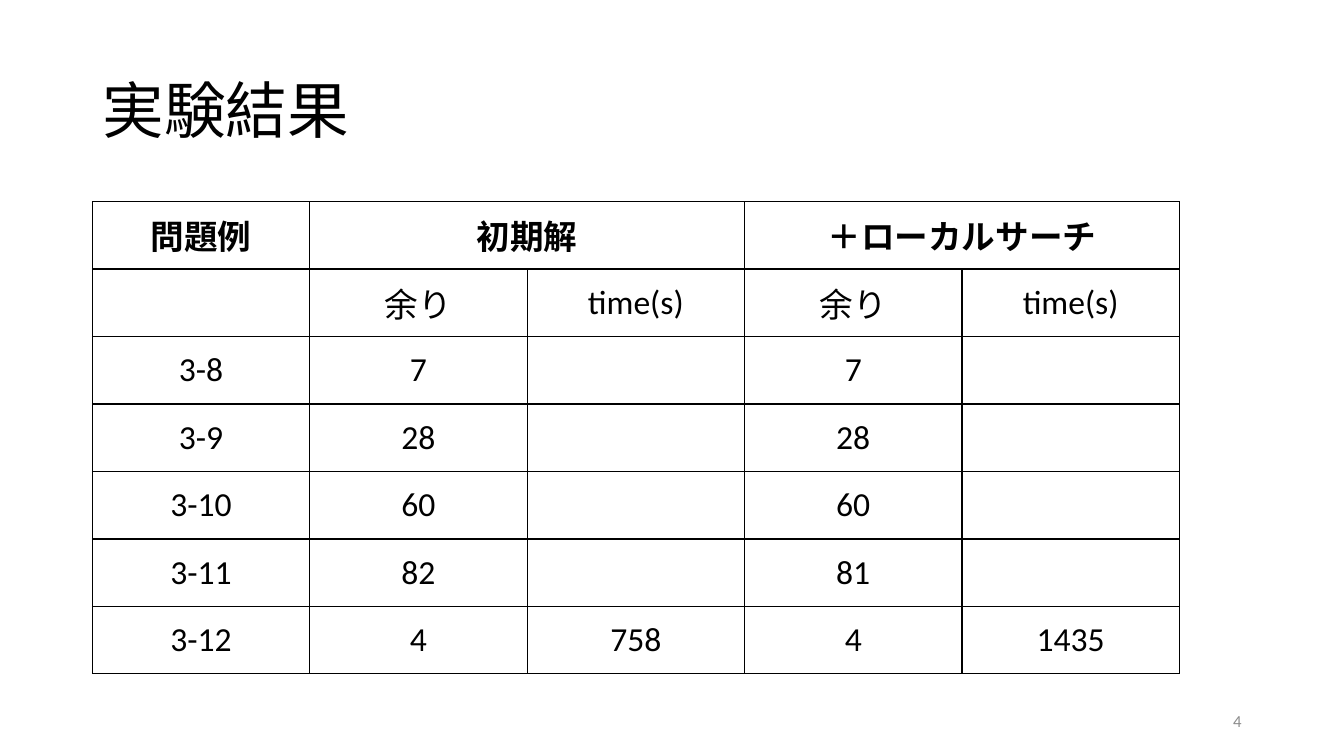
import dataclasses

import lxml.etree
import pptx
import pptx.dml.color
import pptx.enum.text
import pptx.oxml.ns
import pptx.util

Pt = pptx.util.Pt
ALIGN = pptx.enum.text.PP_ALIGN
MIDDLE = pptx.enum.text.MSO_ANCHOR.MIDDLE


@dataclasses.dataclass(frozen=True)
class Theme:
    """Colours, font and type sizes of the slide."""
    font: str = "Calibri"
    ink: str = "000000"
    paper: str = "FFFFFF"
    faint: str = "8C8C8C"
    title: int = 44
    body: int = 24
    small: int = 12
    rule: int = 1


THEME = Theme()
SIZE = (960, 540)
TITLE_BOX = (66, 28.8, 828, 104.4)
TABLE_BOX = (66, 144, 776.5, 337.5)
PAGE_BOX = (678, 500.4, 216, 28.8)

HEADS = {"問題例": 1, "初期解": 2, "+ローカルサーチ".replace("+", "＋"): 2}
ROWS = [
    ("", "余り", "time(s)", "余り", "time(s)"),
    ("3-8", "7", "", "7", ""),
    ("3-9", "28", "", "28", ""),
    ("3-10", "60", "", "60", ""),
    ("3-11", "82", "", "81", ""),
    ("3-12", "4", "758", "4", "1435"),
]


def rgb(code):
    """Turn a hex code into a colour."""
    return pptx.dml.color.RGBColor.from_string(code)


def write(frame, text, size, color, align, bold=False):
    """Put one styled line of text into a frame."""
    frame.text = text
    line = frame.paragraphs[0]
    line.alignment = align
    for font in [line.font] + [run.font for run in line.runs]:
        font.name = THEME.font
        font.size = Pt(size)
        font.bold = bold
        font.color.rgb = rgb(color)


def add_rules(cell):
    """Draw a thin line on all four sides of a cell."""
    name = pptx.oxml.ns.qn
    props = cell._tc.get_or_add_tcPr()
    for side in ("a:lnL", "a:lnR", "a:lnT", "a:lnB"):
        edge = lxml.etree.SubElement(props, name(side), w=str(Pt(THEME.rule)))
        fill = lxml.etree.SubElement(edge, name("a:solidFill"))
        lxml.etree.SubElement(fill, name("a:srgbClr"), val=THEME.ink)


def add_title(slide, box, text):
    """Place and fill the title placeholder."""
    title = slide.shapes.title
    title.left, title.top, title.width, title.height = map(Pt, box)
    frame = title.text_frame
    frame.vertical_anchor = MIDDLE
    write(frame, text, THEME.title, THEME.ink, ALIGN.LEFT)
    frame.paragraphs[0].line_spacing = 0.9


def add_results(slide, box, heads, rows):
    """Draw the result table with merged heads over an even grid."""
    left, top, width, height = box
    count, wide = len(rows) + 1, sum(heads.values())
    table = slide.shapes.add_table(count, wide, *map(Pt, box)).table
    for col in table.columns:
        col.width = Pt(width / wide)
    for row in table.rows:
        row.height = Pt(height / count)
    for cell in table.iter_cells():
        add_rules(cell)
        cell.fill.solid()
        cell.fill.fore_color.rgb = rgb(THEME.paper)
        cell.vertical_anchor = MIDDLE

    start = 0
    for text, span in heads.items():
        cell = table.cell(0, start)
        if span > 1:
            cell.merge(table.cell(0, start + span - 1))
        write(cell.text_frame, text, THEME.body, THEME.ink, ALIGN.CENTER, True)
        start += span
    for r, row in enumerate(rows, 1):
        for c, text in enumerate(row):
            write(table.cell(r, c).text_frame, text,
                  THEME.body, THEME.ink, ALIGN.CENTER)


def add_page(slide, box, text):
    """Write the page number, flush right."""
    frame = slide.shapes.add_textbox(*map(Pt, box)).text_frame
    frame.word_wrap = True
    frame.vertical_anchor = MIDDLE
    write(frame, text, THEME.small, THEME.faint, ALIGN.RIGHT)


def main():
    """Build and save the slide."""
    deck = pptx.Presentation()
    deck.slide_width, deck.slide_height = map(Pt, SIZE)
    slide = deck.slides.add_slide(deck.slide_layouts.get_by_name("Title Only"))
    add_title(slide, TITLE_BOX, "実験結果")
    add_results(slide, TABLE_BOX, HEADS, ROWS)
    add_page(slide, PAGE_BOX, "4")
    deck.save("out.pptx")


main()
